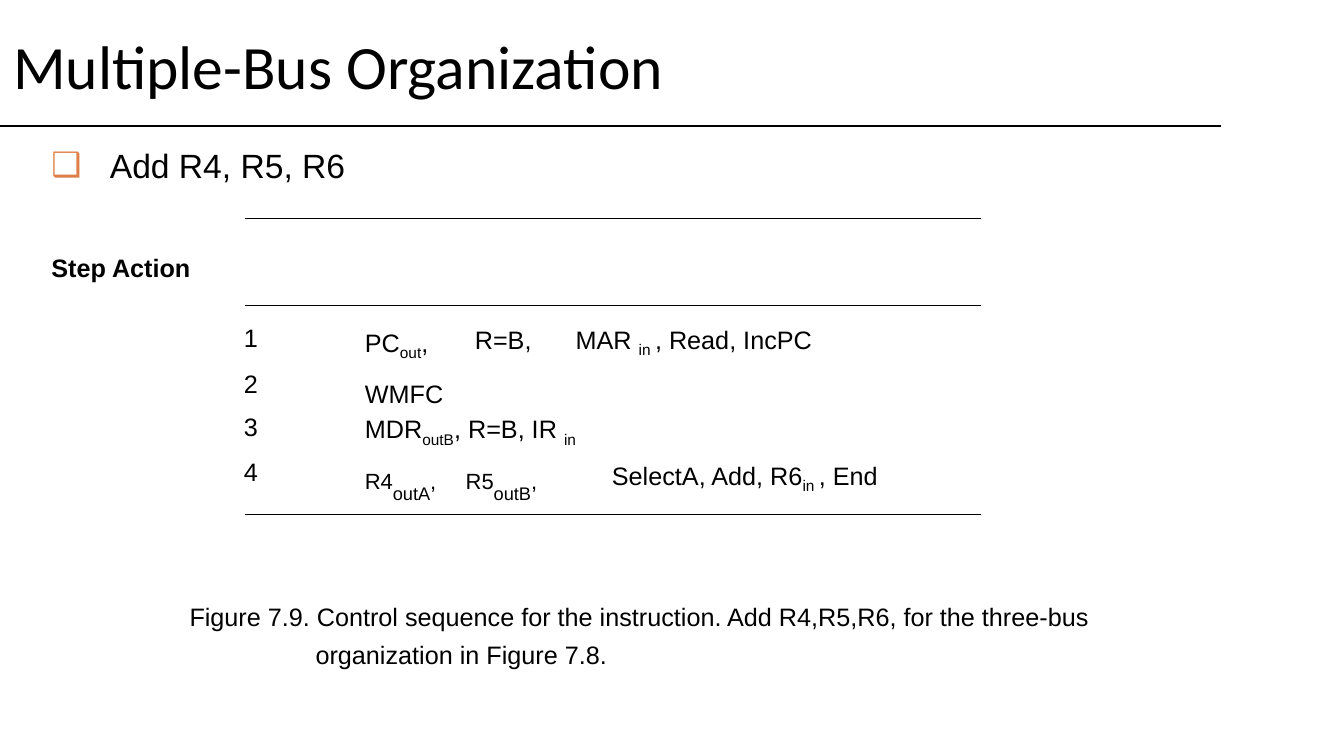
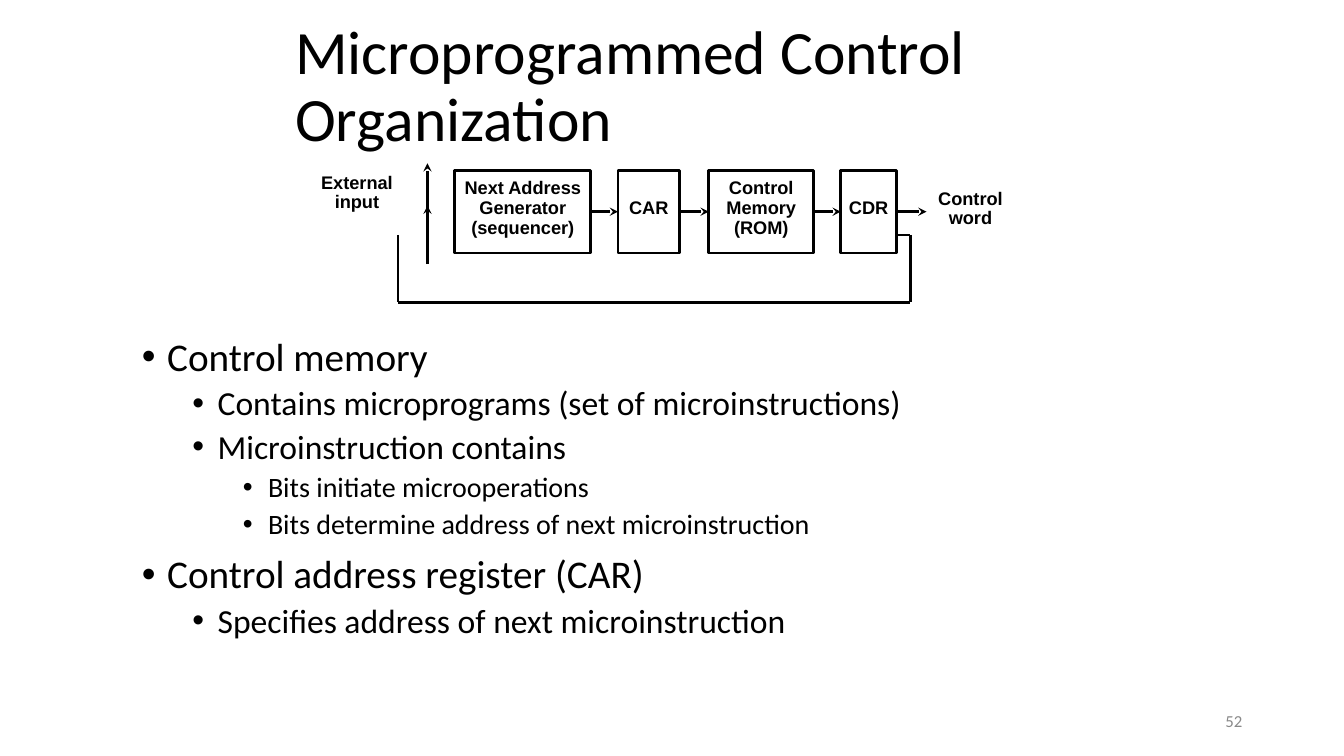
"""Build two slides on multiple-bus and microprogrammed control organization."""
import pptx
import pptx.dml.color
import pptx.enum.shapes
import pptx.enum.text
import pptx.oxml
import pptx.oxml.ns
import pptx.util

PX = 9144
BLACK, WHITE, GREY, ORANGE = "000000", "FFFFFF", "898989", "DD7F46"
ALIGN = pptx.enum.text.PP_ALIGN
ANCHOR = pptx.enum.text.MSO_ANCHOR
SUB = {"size": 19, "baseline": -25}
RAISED = {"size": 27, "baseline": 30}
SMALL = {"size": 13}
TITLE = {"font": "Calibri", "size": 44, "anchor": ANCHOR.MIDDLE}
PLAIN = {"size": 18, "insets": (1, 1, 0, 0)}
LABEL = {"size": 13, "bold": True, "align": ALIGN.CENTER, "spacing": 0.9}

BUS_TITLE = "Multiple-Bus Organization"
BUS_RULES = [(0, 1211, 125, 0.96), (243, 973, 217, 0.75),
             (243, 973, 303, 0.75), (243, 973, 510, 0.75)]
INSTRUCTION = [
    {"runs": ["Add R4, R5, R6"], "size": 24, "margin": 58, "indent": -58,
     "bullet": "❑", "bullet_color": ORANGE},
    {"runs": ["Step Action"], "bold": True, "before": 48},
]
STEPS = [{"runs": [number], "before": before}
         for number, before in [("1", 0), ("2", 11), ("3", 9), ("4", 11)]]
ACTIONS = [
    ((470, 319, 415, 33), [{"runs": ["R=B,\tMAR ", ("in ", SUB), ", Read, IncPC"]}]),
    ((361, 303, 107, 95), [{"runs": ["PC", ("out", SUB), ","], "spacing": 1.53},
                           {"runs": ["WMFC"], "spacing": 1.53}]),
    ((361, 408, 303, 33), [{"runs": ["MDR", ("outB", SUB), ", R=B, IR ", ("in", SUB)]}]),
    ((361, 458, 226, 33), [{"runs": [("R4", RAISED), ("outA", SMALL), (",\tR5", RAISED),
                                     ("outB", SMALL), (",", RAISED)]}]),
    ((606, 454, 367, 33), [{"runs": ["SelectA, Add, R6", ("in ", SUB), ", End"]}]),
]
CAPTION = ("Figure 7.9. Control sequence for the instruction. Add R4,R5,R6, "
           "for the three-bus organization in Figure 7.8.")

MICRO_TITLE = "Microprogrammed Control Organization"
BLOCK_TOP, BLOCK_HEIGHT = 169, 82
FLOW_Y = BLOCK_TOP + BLOCK_HEIGHT // 2
BLOCKS = [
    (451, 135, ["Next Address", "Generator", "(sequencer)"]),
    (613, 61, ["CAR"]),
    (703, 104, ["Control", "Memory", "(ROM)"]),
    (834, 55, ["CDR"]),
]
SIGNALS = [((308, 167, 92, 49), ["External", "input"]),
           ((920, 183, 85, 49), ["Control", "word"])]
INPUT_ARROWS = [(424, 221, 424, 162), (424, 262, 424, 204)]
FEEDBACK = [(395, 300, 903, 300, 2), (889, 233, 903, 233, 1.5),
            (903, 233, 903, 300, 1.5), (395, 233, 395, 300, 1.5)]
OUTLINE = [
    (0, "Control memory"),
    (1, "Contains microprograms (set of microinstructions)"),
    (1, "Microinstruction contains"),
    (2, "Bits initiate microoperations"),
    (2, "Bits determine address of next microinstruction"),
    (0, "Control address register (CAR)"),
    (1, "Specifies address of next microinstruction"),
]
PAGE_NUMBER = "52"


def px(*lengths):
    return [round(length * PX) for length in lengths]


def rgb(value):
    return pptx.dml.color.RGBColor.from_string(value)


def add_child(parent, tag, **attributes):
    child = pptx.oxml.parse_xml(f"<a:{tag} {pptx.oxml.ns.nsdecls('a')}/>")
    for key, value in attributes.items():
        child.set(key, value)
    parent.append(child)
    return child


def format_paragraph(paragraph, style):
    paragraph.alignment = style.get("align", ALIGN.LEFT)
    paragraph.line_spacing = style.get("spacing", 1.0)
    paragraph.space_before = pptx.util.Pt(style.get("before", 0))
    paragraph.level = style.get("level", 0)
    properties = paragraph._p.get_or_add_pPr()
    margin, indent = px(style.get("margin", 0), style.get("indent", 0))
    properties.set("marL", str(margin))
    properties.set("indent", str(indent))
    if "bullet" in style:
        color = add_child(properties, "buClr")
        add_child(color, "srgbClr", val=style.get("bullet_color", BLACK))
        add_child(properties, "buFont", typeface="Arial")
        add_child(properties, "buChar", char=style["bullet"])


def write(shape, paragraphs, **fmt):
    frame = shape.text_frame
    frame.word_wrap = True
    frame.vertical_anchor = fmt.get("anchor", ANCHOR.TOP)
    insets = px(*fmt.get("insets", (10, 5, 10, 5)))
    frame.margin_left, frame.margin_top, frame.margin_right, frame.margin_bottom = insets
    for index, content in enumerate(paragraphs):
        if isinstance(content, str):
            content = {"runs": [content]}
        style = {**fmt, **content}
        paragraph = frame.add_paragraph() if index else frame.paragraphs[0]
        format_paragraph(paragraph, style)
        for part in content["runs"]:
            words, change = (part, {}) if isinstance(part, str) else part
            look = {**style, **change}
            run = paragraph.add_run()
            run.text = words
            run.font.name = look.get("font", "Arial")
            run.font.size = pptx.util.Pt(look["size"])
            run.font.bold = look.get("bold", False)
            run.font.color.rgb = rgb(look.get("color", BLACK))
            if "baseline" in look:
                run._r.get_or_add_rPr().set("baseline", str(look["baseline"] * 1000))


def add_text(slide, box, paragraphs, **fmt):
    write(slide.shapes.add_textbox(*px(*box)), paragraphs, **fmt)


def add_line(slide, ends, width=2, arrow=False):
    line = slide.shapes.add_connector(
        pptx.enum.shapes.MSO_CONNECTOR.STRAIGHT, *px(*ends))
    line.line.color.rgb = rgb(BLACK)
    line.line.width = pptx.util.Pt(width)
    if arrow:
        add_child(line.line._get_or_add_ln(), "tailEnd", type="stealth")
    add_child(line._element.spPr, "effectLst")
    return line


def add_block(slide, left, width, lines):
    block = slide.shapes.add_shape(
        pptx.enum.shapes.MSO_SHAPE.RECTANGLE,
        *px(left, BLOCK_TOP, width, BLOCK_HEIGHT))
    block.shadow.inherit = False
    block.fill.solid()
    block.fill.fore_color.rgb = rgb(WHITE)
    block.line.color.rgb = rgb(BLACK)
    block.line.width = pptx.util.Pt(2)
    write(block, lines, anchor=ANCHOR.MIDDLE, insets=(0, 0, 0, 6), **LABEL)
    return block


def build_bus_slide(slide):
    add_text(slide, (12, 26, 871, 76), [BUS_TITLE], insets=(1, 1, 0, 0), **TITLE)
    for left, right, y, width in BUS_RULES:
        add_line(slide, (left, y, right, y), width)
    add_text(slide, (50, 143, 378, 141), INSTRUCTION, **PLAIN)
    add_text(slide, (241, 303, 22, 186), STEPS, **{**PLAIN, "insets": (1, 17, 0, 0)})
    for box, action in ACTIONS:
        add_text(slide, box, action, **PLAIN)
    add_text(slide, (187, 588, 946, 78), [CAPTION],
             margin=125, indent=-125, spacing=1.26, **PLAIN)


def build_micro_slide(slide):
    add_text(slide, (283, 25, 850, 125), [MICRO_TITLE], spacing=0.9, **TITLE)
    blocks = [add_block(slide, *block) for block in BLOCKS]
    for source, target in zip(blocks, blocks[1:]):
        arrow = add_line(slide, (0, FLOW_Y, 0, FLOW_Y), arrow=True)
        arrow.begin_connect(source, 3)
        arrow.end_connect(target, 1)
    output = add_line(slide, (889, FLOW_Y, 919, FLOW_Y), arrow=True)
    output.begin_connect(blocks[-1], 3)
    for ends in INPUT_ARROWS:
        add_line(slide, ends, arrow=True)
    for *ends, width in FEEDBACK:
        add_line(slide, ends, width)
    for box, lines in SIGNALS:
        add_text(slide, box, lines, **LABEL)
    points = [{"runs": [words], "level": level, "size": 28 - 4 * level,
               "margin": 25 + 50 * level, "before": 5 if level else 10 * (index > 0)}
              for index, (level, words) in enumerate(OUTLINE)]
    add_text(slide, (131, 330, 1011, 345), points, font="Calibri",
             indent=-25, spacing=0.9, bullet="•")
    add_text(slide, (942, 695, 300, 40), [PAGE_NUMBER], font="Calibri", size=12,
             color=GREY, align=ALIGN.RIGHT, anchor=ANCHOR.MIDDLE)


def main():
    deck = pptx.Presentation()
    deck.slide_width, deck.slide_height = px(1333, 750)
    for build in (build_bus_slide, build_micro_slide):
        build(deck.slides.add_slide(deck.slide_layouts[6]))
    deck.save("out.pptx")


if __name__ == "__main__":
    main()
